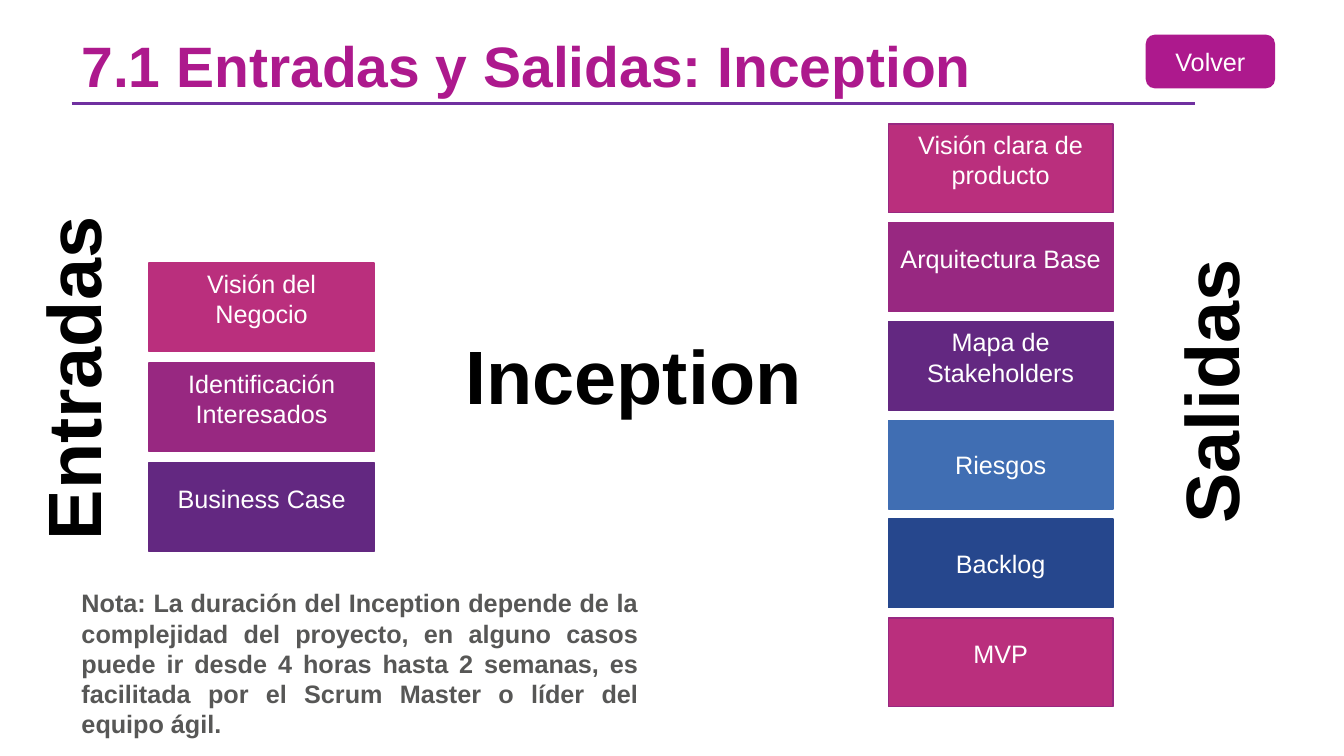
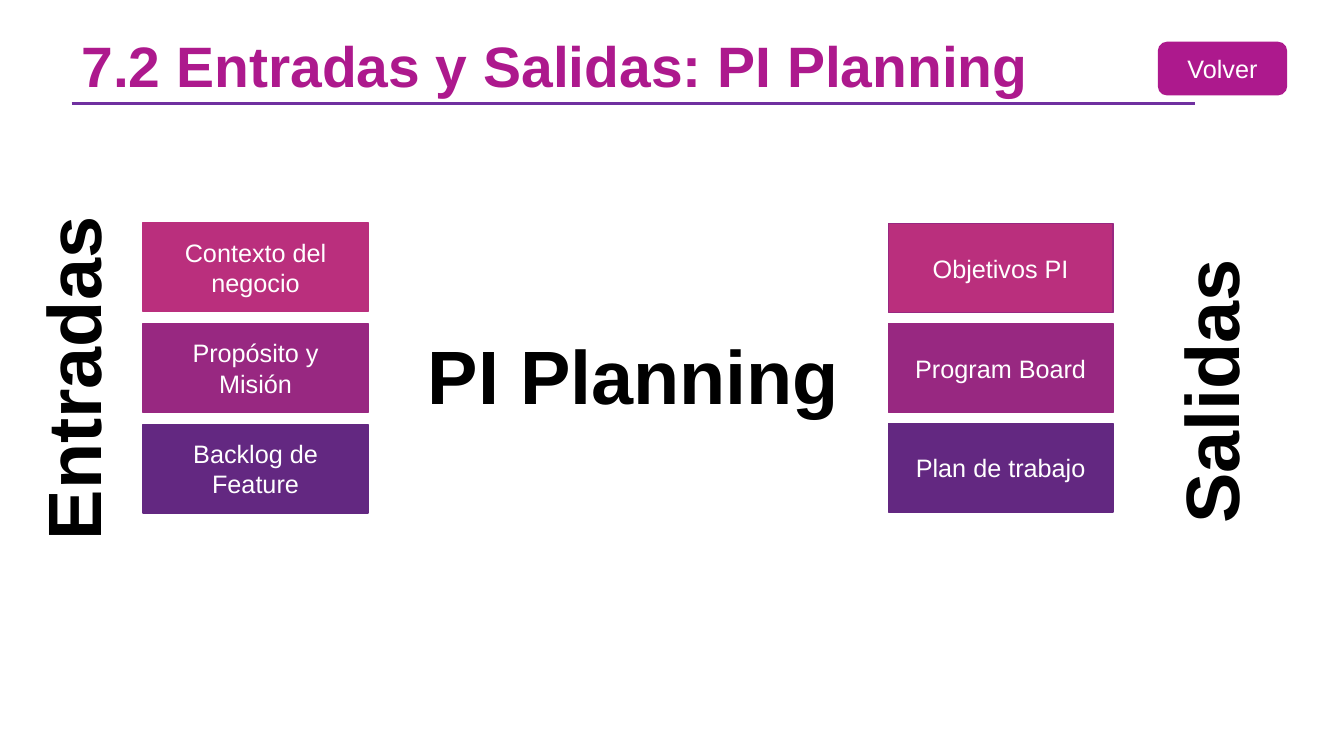
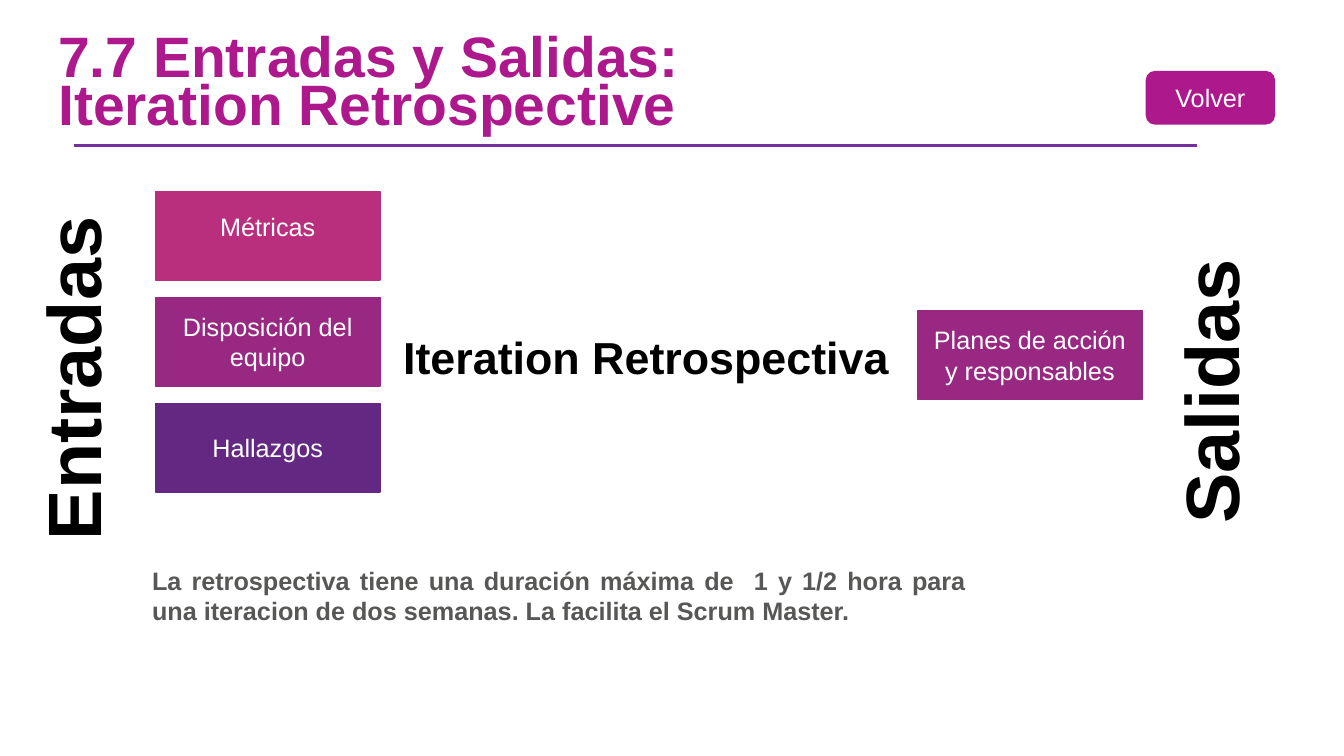
from dataclasses import dataclass
from typing import Optional

from lxml import etree
from pptx import Presentation
from pptx.dml.color import RGBColor
from pptx.enum.shapes import MSO_CONNECTOR, MSO_SHAPE
from pptx.enum.text import MSO_ANCHOR, MSO_AUTO_SIZE, PP_ALIGN
from pptx.oxml.ns import qn
from pptx.util import Inches, Pt

RECTANGLE = MSO_SHAPE.RECTANGLE
ROUNDED = MSO_SHAPE.ROUNDED_RECTANGLE
STRAIGHT = MSO_CONNECTOR.STRAIGHT
MIDDLE = MSO_ANCHOR.MIDDLE
TOP = MSO_ANCHOR.TOP
GROW = MSO_AUTO_SIZE.SHAPE_TO_FIT_TEXT
NO_FIT = MSO_AUTO_SIZE.NONE
LEFT, CENTER, JUSTIFY = PP_ALIGN.LEFT, PP_ALIGN.CENTER, PP_ALIGN.JUSTIFY

FONT = "Arial"
MAGENTA = "AD198D"
RULE = "7030A0"
PINK = "BA2F7D"
PLUM = "982881"
VIOLET = "632881"
BLUE = "406EB3"
NAVY = "26478D"
WHITE = "FFFFFF"
BLACK = "000000"
GREY = "575756"

CARD_WIDTH, CARD_HEIGHT = 2.23, 0.88
RULE_LENGTH = 11.14
RAISED_INSET = 0.23


@dataclass(frozen=True)
class Area:
    left: float
    top: float
    width: float
    height: float


@dataclass(frozen=True)
class Card:
    text: str
    fill: str
    border: Optional[str] = None
    raised: bool = False


@dataclass(frozen=True)
class Column:
    left: float
    top: float
    pitch: float
    cards: tuple[Card, ...]


@dataclass(frozen=True)
class Label:
    text: str
    area: Area
    size: float = 54
    color: str = BLACK
    align: PP_ALIGN = CENTER
    wrap: bool = False
    rotation: float = 0


@dataclass(frozen=True)
class Ceremony:
    title: str
    title_area: Area
    rule_left: float
    rule_top: float
    button_left: float
    button_top: float
    columns: tuple[Column, ...]
    labels: tuple[Label, ...]


SIDE_LABELS = (
    Label("Entradas", Area(-1.01, 3.25, 3.44, 1.01), rotation=270),
    Label("Salidas", Area(10.57, 3.38, 2.85, 1.01), rotation=270),
)

TITLE_AREA = Area(0.71, 0.42, 10.33, 0.61)

CEREMONIES = (
    Ceremony(
        "7.1 Entradas y Salidas: Inception", TITLE_AREA, 0.71, 1.03, 11.37, 0.35,
        (
            Column(1.48, 2.61, 0.99, (
                Card("Visión del Negocio", PINK, raised=True),
                Card("Identificación Interesados", PLUM, raised=True),
                Card("Business Case", VIOLET, raised=True),
            )),
            Column(8.81, 1.23, 0.98, (
                Card("Visión clara de producto", PINK, PLUM, raised=True),
                Card("Arquitectura Base", PLUM, raised=True),
                Card("Mapa de Stakeholders", VIOLET, raised=True),
                Card("Riesgos", BLUE),
                Card("Backlog", NAVY),
                Card("MVP", PINK, PLUM, raised=True),
            )),
        ),
        (
            Label("Inception", Area(4.5, 3.21, 3.57, 1.01)),
            Label("Nota: La duración del Inception depende de la complejidad del proyecto, "
                  "en alguno casos puede ir desde 4 horas hasta 2 semanas, es facilitada "
                  "por el Scrum Master o líder del equipo ágil.",
                  Area(0.71, 5.78, 5.72, 1.62), 18, GREY, JUSTIFY, True),
        ),
    ),
    Ceremony(
        "7.2 Entradas y Salidas: PI Planning", TITLE_AREA, 0.71, 1.03, 11.49, 0.42,
        (
            Column(1.42, 2.21, 1.0, (
                Card("Contexto del negocio", PINK),
                Card("Propósito y Misión", PLUM),
                Card("Backlog de Feature", VIOLET),
            )),
            Column(8.81, 2.22, 0.99, (
                Card("Objetivos PI", PINK, PLUM),
                Card("Program Board", PLUM),
                Card("Plan de trabajo", VIOLET),
            )),
        ),
        (Label("PI Planning", Area(4.12, 3.21, 4.33, 1.01)),),
    ),
    Ceremony(
        "7.7 Entradas y Salidas: Iteration Retrospective",
        Area(0.48, 0.31, 8.3, 1.11), 0.73, 1.44, 11.37, 0.71,
        (
            Column(1.54, 1.9, 1.05, (
                Card("Métricas", PINK, raised=True),
                Card("Disposición del equipo", PLUM),
                Card("Hallazgos", VIOLET),
            )),
            Column(9.1, 3.08, 1.0, (Card("Planes de acción y responsables", PLUM),)),
        ),
        (
            Label("Iteration Retrospectiva", Area(3.88, 3.22, 5.06, 0.64), 32),
            Label("La retrospectiva tiene una duración máxima de  1 y 1/2 hora para una "
                  "iteracion de dos semanas. La facilita el Scrum Master.",
                  Area(1.41, 5.56, 8.27, 0.71), 18, GREY, JUSTIFY, True),
        ),
    ),
)


def rgb(color: str) -> RGBColor:
    return RGBColor.from_string(color)


def bounds(area: Area) -> tuple:
    return Inches(area.left), Inches(area.top), Inches(area.width), Inches(area.height)


def write(frame, text: str, size: float, color: str, align, bold: bool = False):
    frame.text = text
    para = frame.paragraphs[0]
    para.alignment = align
    font = para.runs[0].font
    font.name, font.size, font.bold = FONT, Pt(size), bold
    font.color.rgb = rgb(color)
    return para


def add_block(page, kind, area: Area, text: str, fill: str, border: str):
    block = page.shapes.add_shape(kind, *bounds(area))
    block.shadow.inherit = False
    block.fill.solid()
    block.fill.fore_color.rgb = rgb(fill)
    block.line.color.rgb = rgb(border)
    block.line.width = Pt(1)
    block.text_frame.word_wrap = True
    block.text_frame.vertical_anchor = MIDDLE
    write(block.text_frame, text, 18, WHITE, CENTER)
    return block


def add_column(page, column: Column) -> None:
    for index, card in enumerate(column.cards):
        area = Area(column.left, column.top + index * column.pitch, CARD_WIDTH, CARD_HEIGHT)
        block = add_block(page, RECTANGLE, area, card.text, card.fill, card.border or card.fill)
        if card.raised:
            block.text_frame.margin_bottom = Inches(RAISED_INSET)


def add_label(page, label: Label) -> None:
    box = page.shapes.add_textbox(*bounds(label.area))
    box.rotation = label.rotation
    frame = box.text_frame
    frame.word_wrap = label.wrap
    frame.auto_size = GROW
    frame.vertical_anchor = TOP
    write(frame, label.text, label.size, label.color, label.align, True)


def add_title(page, text: str, area: Area) -> None:
    box = page.shapes.add_textbox(*bounds(area))
    frame = box.text_frame
    frame.word_wrap = True
    frame.auto_size = NO_FIT
    frame.vertical_anchor = MIDDLE
    write(frame, text, 40.7, MAGENTA, LEFT, True).line_spacing = 0.7


def add_rule(page, left: float, top: float) -> None:
    rule = page.shapes.add_connector(
        STRAIGHT, Inches(left), Inches(top), Inches(left + RULE_LENGTH), Inches(top))
    rule.line.color.rgb = rgb(RULE)
    rule.line.width = Pt(2.25)
    etree.SubElement(rule._element.spPr, qn("a:effectLst"))


def add_ceremony(deck, ceremony: Ceremony) -> None:
    page = deck.slides.add_slide(deck.slide_layouts[6])
    add_rule(page, ceremony.rule_left, ceremony.rule_top)
    add_title(page, ceremony.title, ceremony.title_area)
    for column in ceremony.columns:
        add_column(page, column)
    for label in SIDE_LABELS + ceremony.labels:
        add_label(page, label)
    button = Area(ceremony.button_left, ceremony.button_top, 1.27, 0.52)
    add_block(page, ROUNDED, button, "Volver", MAGENTA, MAGENTA)


def main() -> None:
    deck = Presentation()
    deck.slide_width, deck.slide_height = Inches(13.33), Inches(7.5)
    for ceremony in CEREMONIES:
        add_ceremony(deck, ceremony)
    deck.save("out.pptx")


if __name__ == "__main__":
    main()
